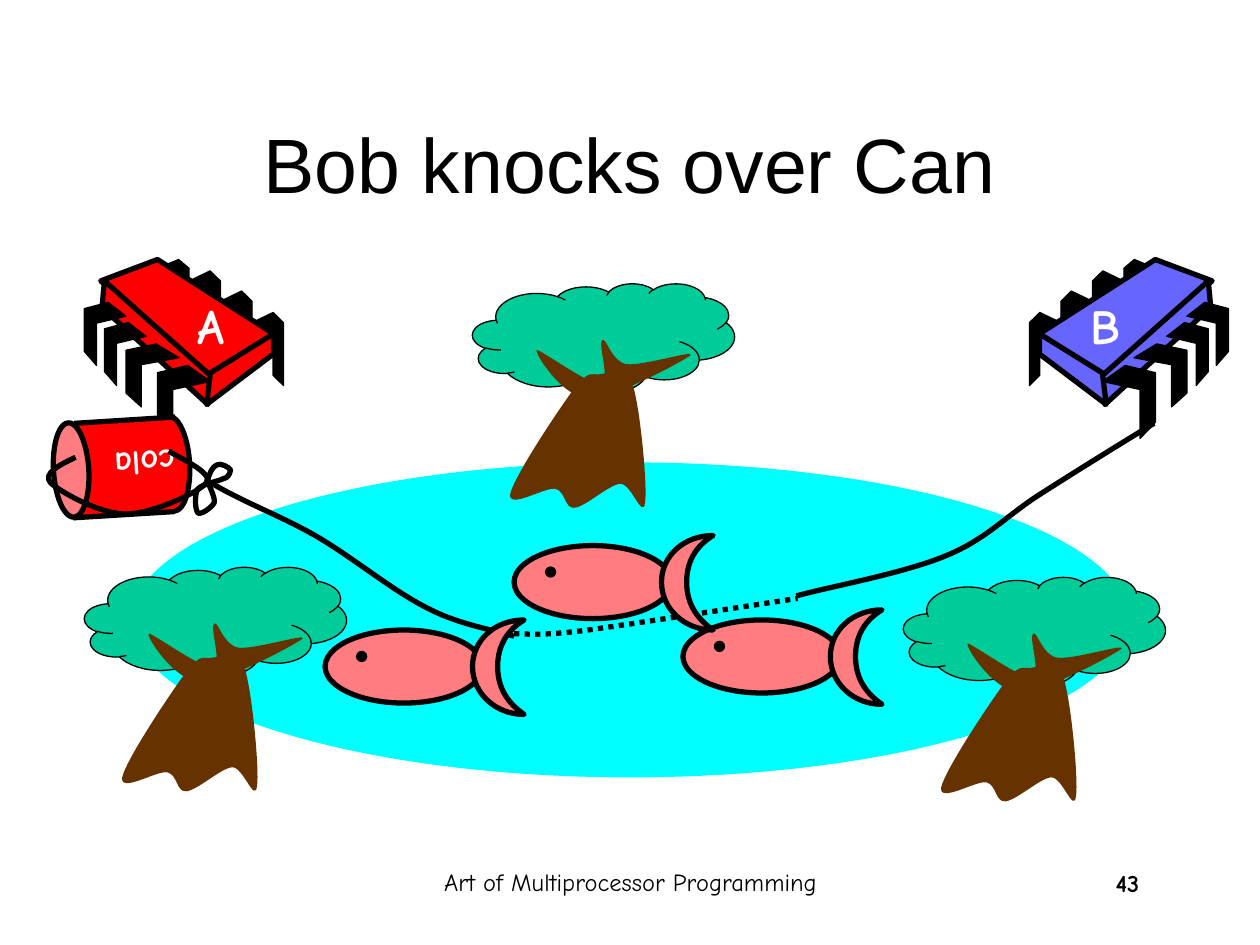
"""Build the slide on which Bob pulls a string and knocks over the can."""
from lxml.etree import SubElement
from pptx import Presentation
from pptx.dml.color import RGBColor
from pptx.enum.dml import MSO_LINE
from pptx.enum.shapes import MSO_CONNECTOR, MSO_SHAPE
from pptx.enum.text import MSO_ANCHOR, MSO_AUTO_SIZE, PP_ALIGN
from pptx.oxml.ns import qn
from pptx.util import Inches, Pt

BLACK = RGBColor(0x00, 0x00, 0x00)
WHITE = RGBColor(0xFF, 0xFF, 0xFF)
RED = RGBColor(0xFF, 0x00, 0x00)
BLUE = RGBColor(0x66, 0x66, 0xFF)
PINK = RGBColor(0xFF, 0x7C, 0x80)
CYAN = RGBColor(0x00, 0xFF, 0xFF)
GREEN = RGBColor(0x00, 0xCC, 0x99)
BROWN = RGBColor(0x66, 0x33, 0x00)

THIN, THICK = 0.75, 3
MIRROR_WIDTH = 10.42

BACK_LEG = [(0, 0.14), (0.67, 0), (1, 0.14), (1, 1), (0.67, 0.86), (0.67, 0.29), (0, 0.43)]
FRONT_LEG = [(0.57, 0), (1, 0.22), (0.29, 0.33), (0.29, 1), (0, 0.78), (0, 0.1)]
BACK_LEG_BOXES = [(2, 2.48, 0.25, 0.58), (1.75, 2.31, 0.25, 0.58),
                  (1.5, 2.15, 0.25, 0.58), (1.25, 2.06, 0.25, 0.5)]
FRONT_LEG_BOXES = [(1.25, 2.9, 0.42, 0.58), (1, 2.73, 0.42, 0.5),
                   (0.83, 2.56, 0.33, 0.5), (0.67, 2.4, 0.33, 0.5)]
CHIP_FACES = [
    [(1.25, 2.06), (2.17, 2.65), (1.65, 2.99), (0.8, 2.23)],
    [(0.83, 2.23), (1.67, 2.98), (1.65, 3.21), (0.81, 2.44)],
    [(2.17, 2.65), (2.17, 2.81), (1.64, 3.21), (1.67, 2.96)],
]
TRUNK = [
    (0.81, 0.83), (0.93, 0.68), (0.94, 0.73), (1.02, 0.72), (1.09, 0.71), (1.21, 0.63),
    (1.27, 0.8), (1.33, 0.97), (1.39, 1.61), (1.37, 1.74), (1.35, 1.88), (1.26, 1.58),
    (1.17, 1.59), (1.08, 1.6), (0.9, 1.77), (0.81, 1.78), (0.73, 1.79), (0.74, 1.65),
    (0.66, 1.63), (0.58, 1.61), (0.28, 1.8), (0.3, 1.67), (0.33, 1.53), (0.69, 0.99),
    (0.81, 0.83),
]
BRANCHES = [
    (0.51, 0.53), (0.49, 0.55), (0.71, 0.9), (0.91, 0.91), (1.12, 0.92), (1.68, 0.61),
    (1.73, 0.57), (1.78, 0.52), (1.34, 0.66), (1.22, 0.64), (1.1, 0.62), (1.06, 0.42),
    (1.03, 0.45), (0.99, 0.47), (1.1, 0.78), (1.02, 0.8), (0.93, 0.81), (0.52, 0.51),
    (0.51, 0.53),
]
FISH_TAIL = [
    (1.58, -0.08), (1.48, -0.02), (1.37, 0.09), (1.37, 0.29), (1.37, 0.49), (1.48, 0.6),
    (1.58, 0.67), (1.35, 0.67), (1.17, 0.5), (1.17, 0.29), (1.17, 0.08), (1.35, -0.08),
    (1.58, -0.08),
]
BOW = [
    (1.65, 3.82), (1.65, 3.77), (1.69, 3.7), (1.72, 3.69), (1.75, 3.67), (1.82, 3.71),
    (1.83, 3.73), (1.82, 3.77), (1.81, 3.79), (1.77, 3.8), (1.73, 3.82), (1.61, 3.84),
    (1.57, 3.88), (1.54, 3.93), (1.55, 4.05), (1.57, 4.07), (1.59, 4.09), (1.68, 4.03),
    (1.7, 3.99), (1.71, 3.95), (1.66, 3.86), (1.65, 3.82),
]
LOOP = [
    (0.6, 3.63), (0.47, 3.69), (0.34, 3.76), (0.4, 3.83), (0.47, 3.9), (0.79, 4.08),
    (1, 4.08), (1.2, 4.08), (1.58, 3.91), (1.64, 3.83), (1.7, 3.75), (1.39, 3.62),
    (1.34, 3.58),
]
LEFT_STRING = [
    (1.67, 3.83), (1.94, 3.99), (2.22, 4.09), (2.5, 4.25), (2.78, 4.41), (3.12, 4.69),
    (3.38, 4.82), (3.64, 4.96), (3.93, 5), (4.08, 5.05),
]
RIGHT_STRING = [
    (9.16, 3.36), (9.01, 3.45), (8.54, 3.74), (8.26, 3.92), (7.99, 4.09), (7.83, 4.28),
    (7.51, 4.41), (7.18, 4.55), (6.57, 4.66), (6.32, 4.73),
]
HIDDEN_STRING = [(4.08, 5.03), (4.18, 5.03), (4.29, 5.05), (4.67, 5),
                 (5.04, 4.95), (6.06, 4.79), (6.33, 4.75)]


def shift(points, left, top):
    """Return the points moved by left and top."""
    return [(left + x, top + y) for x, y in points]


def fit(points, box):
    """Return unit points scaled into a box of left, top, width and height."""
    left, top, width, height = box
    return [(left + x * width, top + y * height) for x, y in points]


def paint(shape, fill=None, width=0):
    """Set the fill and the black outline of a shape without shadow."""
    shape.shadow.inherit = False
    if fill is None:
        shape.fill.background()
    else:
        shape.fill.solid()
        shape.fill.fore_color.rgb = fill
    if width:
        shape.line.color.rgb = BLACK
        shape.line.width = Pt(width)
    else:
        shape.line.fill.background()


def add_preset(shapes, kind, box, fill, width=0, rotation=0):
    """Add a painted preset shape and return it."""
    shape = shapes.add_shape(kind, *map(Inches, box))
    shape.rotation = rotation
    paint(shape, fill, width)
    return shape


def add_outline(shapes, points, fill=None, width=0, close=True):
    """Add a painted freeform through the points and return it."""
    start, *rest = [(Inches(x), Inches(y)) for x, y in points]
    builder = shapes.build_freeform(*start, scale=1.0)
    builder.add_line_segments(rest, close=close)
    shape = builder.convert_to_shape()
    paint(shape, fill, width)
    return shape


def add_curve(shapes, controls, **style):
    """Add a freeform whose segments are cubic Bézier curves and return it."""
    shape = add_outline(shapes, controls, **style)
    lines = list(shape._element.iter(qn("a:lnTo")))
    for index in range(0, len(lines), 3):
        outline = lines[index].getparent()
        segment = SubElement(outline, qn("a:cubicBezTo"))
        lines[index].addprevious(segment)
        for line in lines[index:index + 3]:
            segment.append(line[0])
            outline.remove(line)
    return shape


def add_line(shapes, start, end):
    """Add a thick black straight line."""
    line = shapes.add_connector(MSO_CONNECTOR.STRAIGHT, *map(Inches, start + end))
    line.line.color.rgb = BLACK
    line.line.width = Pt(THICK)
    SubElement(line._element.spPr, qn("a:effectLst"))


def write(shape, text, size, font="Comic Neue", color=BLACK, bold=False, align=PP_ALIGN.RIGHT):
    """Put one formatted line of text into a shape."""
    paragraph = shape.text_frame.paragraphs[0]
    paragraph.alignment = align
    run = paragraph.add_run()
    run.text = text
    run.font.size = Pt(size)
    run.font.name = font
    run.font.bold = bold
    run.font.color.rgb = color


def add_text(shapes, box, text, size, wrap=True, rotation=0, **style):
    """Add a text box that wraps or else grows with its text."""
    shape = shapes.add_textbox(*map(Inches, box))
    shape.rotation = rotation
    shape.text_frame.word_wrap = wrap
    if not wrap:
        shape.text_frame.auto_size = MSO_AUTO_SIZE.SHAPE_TO_FIT_TEXT
    write(shape, text, size, **style)


def add_chip(shapes, color, mirrored=False):
    """Add a processor chip with legs, facing right or mirrored."""
    parts = [(fit(BACK_LEG, box), BLACK, THIN) for box in BACK_LEG_BOXES]
    parts += [(face, color, THICK) for face in CHIP_FACES]
    parts += [(fit(FRONT_LEG, box), BLACK, THIN) for box in FRONT_LEG_BOXES]
    for points, fill, width in parts:
        if mirrored:
            points = [(MIRROR_WIDTH - x, y) for x, y in points]
        add_outline(shapes, points, fill, width)


def add_tree(shapes, left, top):
    """Add a tree with a cloud-shaped crown."""
    crown = add_preset(shapes, MSO_SHAPE.CLOUD_CALLOUT, (left, top, 2.08, 0.87), GREEN, THIN)
    crown.adjustments[0], crown.adjustments[1] = 0.018, 0.493
    for controls in (TRUNK, BRANCHES):
        add_curve(shapes, shift(controls, left, top), fill=BROWN)


def add_fish(shapes, left, top):
    """Add a fish with body, tail and eye."""
    add_preset(shapes, MSO_SHAPE.OVAL, (left, top, 1.25, 0.58), PINK, THICK)
    add_curve(shapes, shift(FISH_TAIL, left, top), fill=PINK, width=THICK)
    add_preset(shapes, MSO_SHAPE.OVAL, (left + 0.25, top + 0.17, 0.08, 0.08), BLACK, THIN)


def add_can(shapes):
    """Add the tipped can and the string tied around it."""
    for kind, box, fill, width in ((MSO_SHAPE.OVAL, (0.99, 3.54, 0.75, 0.28), RED, THICK),
                                   (MSO_SHAPE.RECTANGLE, (0.59, 3.31, 0.75, 0.8), RED, 0),
                                   (MSO_SHAPE.OVAL, (0.19, 3.59, 0.75, 0.28), PINK, THICK)):
        add_preset(shapes, kind, box, fill, width, rotation=266.5)
    add_line(shapes, (0.58, 4.11), (1.39, 4.06))
    add_line(shapes, (0.59, 3.36), (1.39, 3.31))
    add_text(shapes, (0.81, 3.47, 0.68, 0.44), "cola", 20, wrap=False, rotation=176.5,
             color=WHITE, bold=True)
    add_curve(shapes, BOW, width=THICK)
    add_curve(shapes, LOOP, width=THICK, close=False)


def add_title(slide, text):
    """Place and format the title placeholder."""
    title = slide.shapes.title
    title.left, title.top, title.width, title.height = map(Inches, (0.75, 0.67, 8.5, 1.25))
    title.text_frame.vertical_anchor = MSO_ANCHOR.MIDDLE
    write(title, text, 44, font="Arial", align=PP_ALIGN.CENTER)


def main():
    """Build and save the presentation."""
    presentation = Presentation()
    presentation.slide_width, presentation.slide_height = Inches(10), Inches(7.5)
    slide = presentation.slides.add_slide(presentation.slide_layouts[5])
    shapes = slide.shapes
    add_text(shapes, (7.06, 6.84, 2.08, 0.5), "43", 14, bold=True)
    add_title(slide, "Bob knocks over Can")
    add_chip(shapes.add_group_shape().shapes, RED)
    add_chip(shapes.add_group_shape().shapes, BLUE, mirrored=True)
    add_preset(shapes, MSO_SHAPE.OVAL, (1.04, 3.67, 7.92, 2.5), CYAN)
    for letter, left, width in (("A", 1.47, 0.41), ("B", 8.55, 0.44)):
        add_text(shapes, (left, 2.3, width, 0.57), letter, 28, wrap=False, color=WHITE, bold=True)
    for left, top in ((3.75, 2.25), (7.17, 4.58), (0.67, 4.5)):
        add_tree(shapes.add_group_shape().shapes, left, top)
    add_can(shapes.add_group_shape().shapes)
    strings = [add_curve(shapes, controls, width=THICK, close=False)
               for controls in (LEFT_STRING, RIGHT_STRING, HIDDEN_STRING)]
    strings[-1].line.dash_style = MSO_LINE.ROUND_DOT
    for left, top in ((5.42, 4.92), (4.08, 4.33), (2.58, 5)):
        add_fish(shapes.add_group_shape().shapes, left, top)
    add_text(shapes, (3.42, 6.83, 3.17, 0.5), "Art of Multiprocessor Programming", 14,
             align=PP_ALIGN.CENTER)
    presentation.save("out.pptx")


if __name__ == "__main__":
    main()
